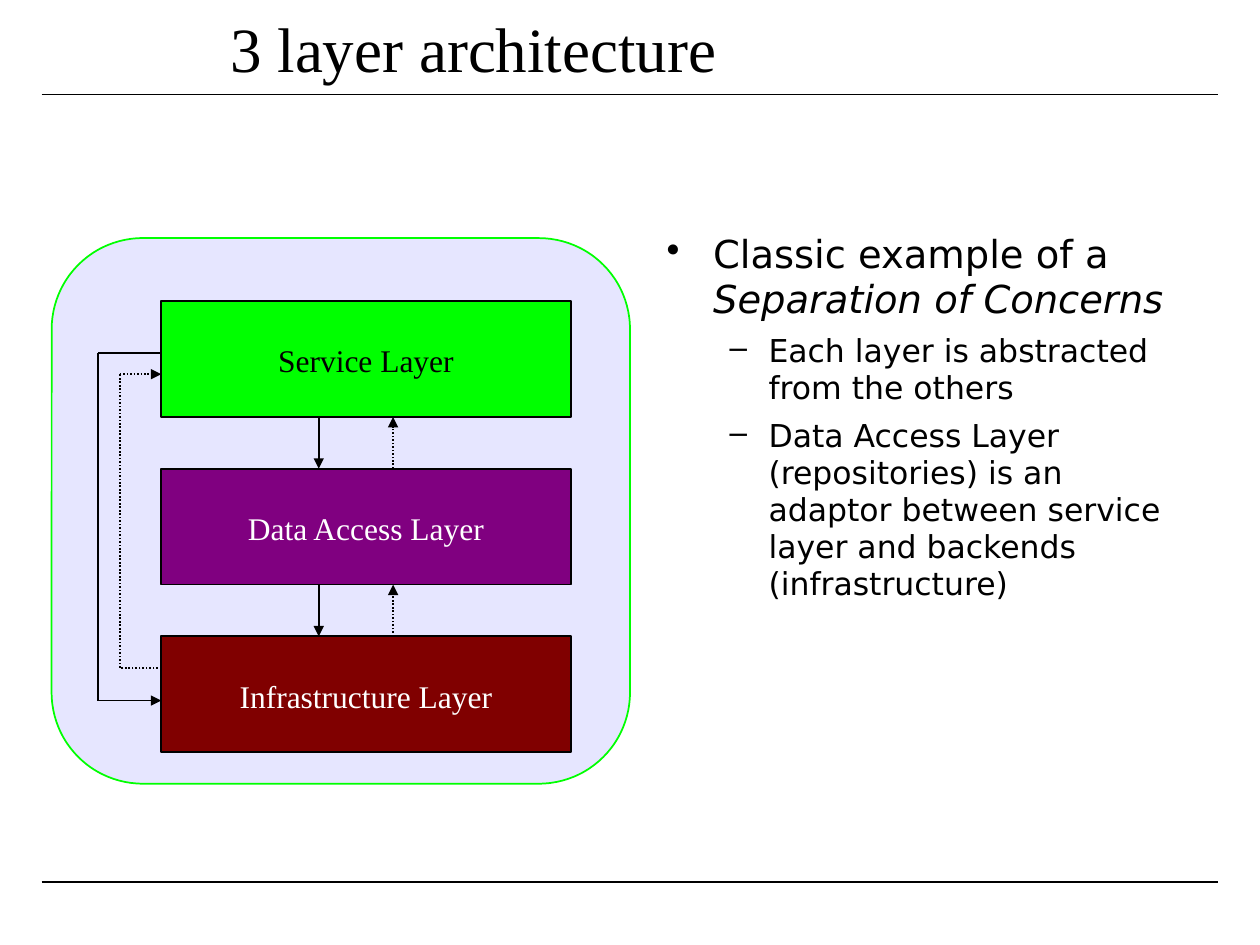
from itertools import pairwise

from lxml import etree
from pptx import Presentation
from pptx.dml.color import RGBColor
from pptx.enum.dml import MSO_LINE_DASH_STYLE as Dash
from pptx.enum.shapes import MSO_CONNECTOR_TYPE as Connector, MSO_SHAPE as Shape
from pptx.enum.text import MSO_ANCHOR as Anchor, MSO_AUTO_SIZE as AutoSize, PP_ALIGN as Align
from pptx.oxml.ns import qn
from pptx.util import Inches, Pt

SERIF, SANS = "Times New Roman", "DejaVu Sans"
BLACK, WHITE = "000000", "FFFFFF"


def color(value):
    return RGBColor.from_string(value)


def apply(target, values):
    for name, value in values.items():
        setattr(target, name, value)


class SlideBuilder:
    line_width = Pt(1)

    def __init__(self, slide):
        self.slide = slide

    def outline(self, shape, line_color):
        shape.line.color.rgb = color(line_color)
        shape.line.width = self.line_width

    def box(self, kind, left, top, width, height, fill, line_color=BLACK):
        shape = self.slide.shapes.add_shape(
            kind, Inches(left), Inches(top), Inches(width), Inches(height))
        shape.shadow.inherit = False
        shape.fill.solid()
        shape.fill.fore_color.rgb = color(fill)
        self.outline(shape, line_color)
        return shape

    def line(self, start, end, dotted=False, arrow=False):
        connector = self.slide.shapes.add_connector(
            Connector.STRAIGHT, *(Inches(value) for value in (*start, *end)))
        self.outline(connector, BLACK)
        if dotted:
            connector.line.dash_style = Dash.ROUND_DOT
        if arrow:
            etree.SubElement(connector.line._get_or_add_ln(), qn("a:tailEnd"), type="triangle")
        etree.SubElement(connector._element.spPr, qn("a:effectLst"))

    def route(self, points, dotted=False):
        """Join the points with lines; the last one carries the arrowhead."""
        for start, end in pairwise(points):
            self.line(start, end, dotted, arrow=end == points[-1])

    def text_box(self, left, top, width, height, margins, **frame_format):
        shape = self.slide.shapes.add_textbox(
            Inches(left), Inches(top), Inches(width), Inches(height))
        sides = ("margin_left", "margin_top", "margin_right", "margin_bottom")
        frame = shape.text_frame
        apply(frame, {"word_wrap": True, **frame_format})
        apply(frame, {side: Inches(margin) for side, margin in zip(sides, margins)})
        return frame

    def run(self, paragraph, text, size, font, text_color=BLACK, italic=False):
        run = paragraph.add_run()
        run.text = text
        apply(run.font, {"size": Pt(size), "name": font, "italic": italic})
        run.font.color.rgb = color(text_color)

    def centered(self, frame, text, size, text_color=BLACK):
        paragraph = frame.paragraphs[0]
        paragraph.alignment = Align.CENTER
        self.run(paragraph, text, size, SERIF, text_color)

    def bullet(self, paragraph, symbol, indent, hanging, runs, size, **paragraph_format):
        properties = paragraph._p.get_or_add_pPr()
        properties.set("marL", str(Inches(indent)))
        properties.set("indent", str(-Inches(hanging)))
        etree.SubElement(properties, qn("a:buChar"), char=symbol)
        apply(paragraph, {"line_spacing": 0.98, **paragraph_format})
        for text, italic in runs:
            self.run(paragraph, text, size, SANS, italic=italic)


def main():
    presentation = Presentation()
    presentation.slide_width, presentation.slide_height = Inches(10), Inches(7.5)
    builder = SlideBuilder(presentation.slides.add_slide(presentation.slide_layouts[6]))

    # Rules and title
    for y in (0.75, 7):
        builder.line((0.33, y), (9.67, y))
    title = builder.text_box(0.38, -0.19, 6.88, 1.17, (0.1, 0.01, 0.1, 0.05),
                             vertical_anchor=Anchor.MIDDLE)
    builder.centered(title, "3 layer architecture ", 36)

    # Layer stack
    panel = builder.box(Shape.ROUNDED_RECTANGLE, 0.41, 1.89, 4.59, 4.33, "E6E6FF", "00FF00")
    panel.adjustments[0] = 0.167
    left, first_top, width, height, pitch = 1.28, 2.39, 3.25, 0.92, 1.33
    layers = [
        ("Service Layer", "00FF00", BLACK),
        ("Data Access Layer", "800080", WHITE),
        ("Infrastructure Layer", "800000", WHITE),
    ]
    tops = [first_top + index * pitch for index in range(len(layers))]
    for top, (name, fill, text_color) in zip(tops, layers):
        builder.box(Shape.RECTANGLE, left, top, width, height, fill)
        label = builder.text_box(left, top + 0.25, width, 0.38, (0.1, 0.07, 0.1, 0.05),
                                 auto_size=AutoSize.SHAPE_TO_FIT_TEXT)
        builder.centered(label, name, 18, text_color)

    # Calls down and replies up between neighbours
    for upper, lower in pairwise(tops):
        builder.line((2.53, upper + height), (2.53, lower), arrow=True)
        builder.line((3.12, lower), (3.12, upper + height), dotted=True, arrow=True)

    # Call and reply that bypass the middle layer
    for lane, start, end, dotted in ((0.78, 2.8, 5.56, False), (0.95, 5.3, 2.97, True)):
        builder.route([(left, start), (lane, start), (lane, end), (left, end)], dotted)

    # Bullets
    body = builder.text_box(5.29, 1.83, 4.2, 4.42, (0, 0.01, 0, 0))
    builder.bullet(body.paragraphs[0], "•", 0.37, 0.37,
                   [("Classic example of a ", False), ("Separation of Concerns", True)], 22)
    for text in (
        "Each layer is abstracted from the others",
        "Data Access Layer (repositories) is an adaptor between service layer "
        "and backends (infrastructure)",
    ):
        builder.bullet(body.add_paragraph(), "–", 0.81, 0.31, [(text, False)], 18,
                       level=1, space_before=Pt(6))

    presentation.save("out.pptx")


if __name__ == "__main__":
    main()
